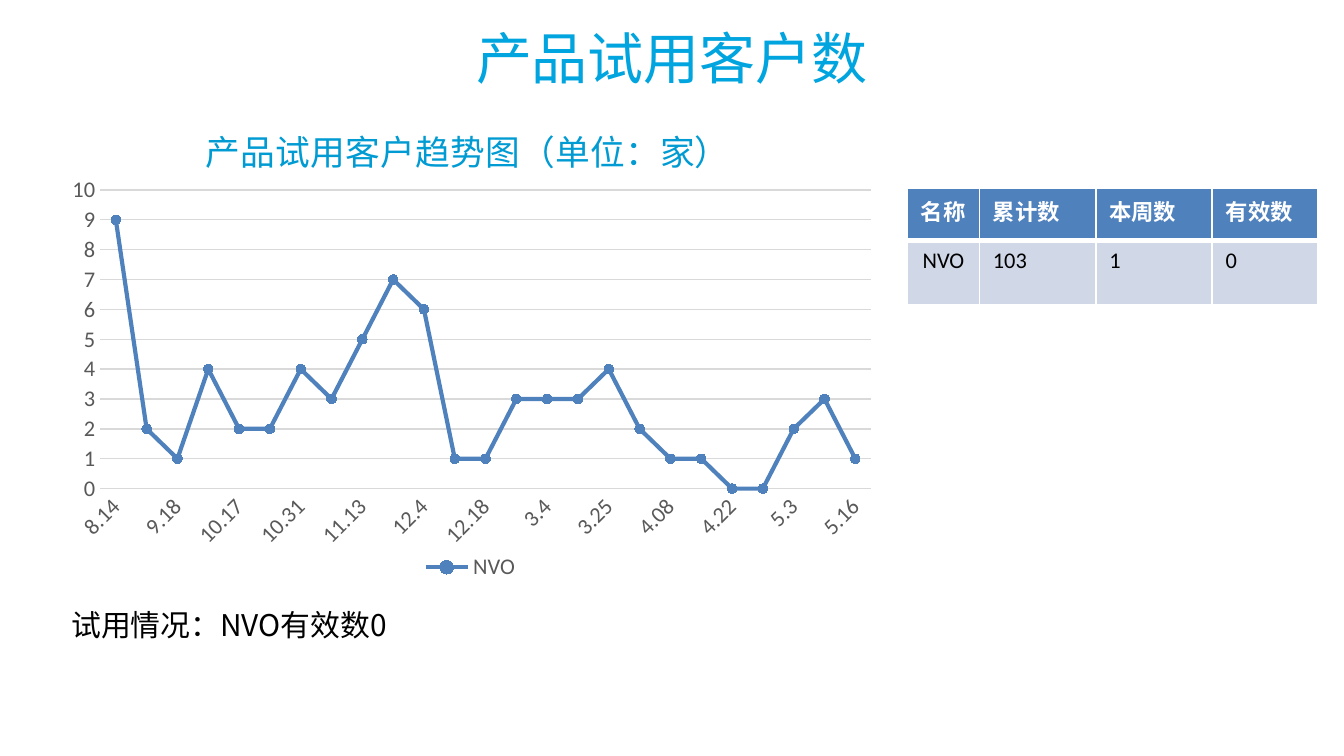
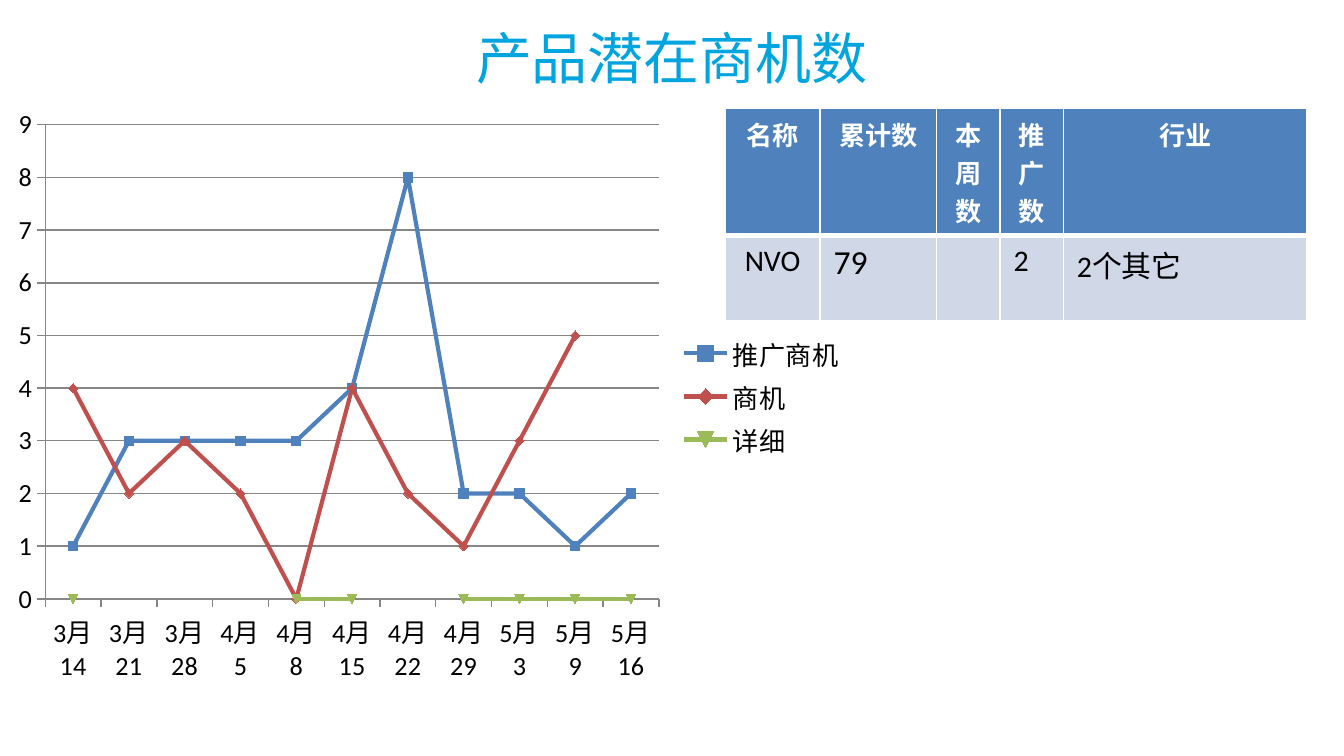
from dataclasses import dataclass
from typing import Optional

from lxml.etree import SubElement
from pptx import Presentation
from pptx.chart.data import CategoryChartData
from pptx.dml.color import RGBColor
from pptx.enum.chart import XL_CHART_TYPE, XL_LEGEND_POSITION, XL_MARKER_STYLE, XL_TICK_MARK
from pptx.enum.text import MSO_ANCHOR, PP_ALIGN
from pptx.oxml import parse_xml
from pptx.oxml.ns import nsdecls, qn
from pptx.util import Cm, Pt

COLORS = {
    "title": "00A4DE", "chart_title": "009BD2", "header": "4F81BD", "band": "D0D8E8",
    "white": "FFFFFF", "black": "000000", "label": "595959", "light_grid": "D9D9D9",
    "dark_grid": "868686", "blue": "4F81BD", "red": "C0504D", "green": "9BBB59",
}
LATIN, CJK = "Calibri", "Noto Sans CJK SC"
PRODUCT = "NVO"


@dataclass(frozen=True)
class Box:
    """Position and size in centimetres."""
    left: float
    top: float
    width: float
    height: float

    def lengths(self) -> tuple:
        return Cm(self.left), Cm(self.top), Cm(self.width), Cm(self.height)


@dataclass(frozen=True)
class Entry:
    """Text of one table cell."""
    text: str
    size: int
    centered: bool = False


@dataclass(frozen=True)
class Summary:
    box: Box
    columns: tuple
    row_heights: tuple
    header: tuple
    body: tuple


@dataclass(frozen=True)
class Line:
    name: str
    values: tuple
    color: str


@dataclass(frozen=True)
class Trend:
    box: Box
    plot: tuple  # x, y, width, height as shares of the chart
    categories: tuple
    lines: tuple
    top_value: int
    size: int
    text_color: str
    grid_color: str
    legend: XL_LEGEND_POSITION
    plain_axes: bool = False
    title: Optional[str] = None


def rgb(name: str) -> RGBColor:
    return RGBColor.from_string(COLORS[name])


def write(frame, text: str, *, size: float, color: str, font: str = LATIN,
          bold: bool = False, align: Optional[PP_ALIGN] = None) -> None:
    """Put one formatted run into a text frame."""
    paragraph = frame.paragraphs[0]
    paragraph.alignment = align
    run = paragraph.add_run()
    run.text = text
    run.font.size, run.font.bold, run.font.name = Pt(size), bold, font
    run.font.color.rgb = rgb(color)
    SubElement(run.font._element, qn("a:ea")).set("typeface", CJK)


def add_titled_slide(prs, title: str):
    slide = prs.slides.add_slide(prs.slide_layouts[5])
    heading = slide.shapes.title
    heading.left, heading.top, heading.width, heading.height = Box(0, 0.28, 25.4, 1.6).lengths()
    heading.text_frame.vertical_anchor = MSO_ANCHOR.MIDDLE
    write(heading.text_frame, title, size=30, color="title", font=CJK, align=PP_ALIGN.CENTER)
    return slide


# Tables
def set_borders(cell, **widths: float) -> None:
    properties = cell._tc.get_or_add_tcPr()
    for side, width in widths.items():
        properties.append(parse_xml(
            f'<a:ln{side} {nsdecls("a")} w="{Pt(width)}"><a:solidFill>'
            f'<a:srgbClr val="{COLORS["white"]}"/></a:solidFill></a:ln{side}>'))


def add_summary(slide, summary: Summary) -> None:
    frame = slide.shapes.add_table(2, len(summary.columns), *summary.box.lengths())
    table = frame.table
    for column, width in zip(table.columns, summary.columns):
        column.width = Cm(width)
    for row, height in zip(table.rows, summary.row_heights):
        row.height = Cm(height)
    frame.height = Cm(summary.box.height)

    for r, entries in enumerate((summary.header, summary.body)):
        is_header = r == 0
        for c, entry in enumerate(entries):
            cell = table.cell(r, c)
            if is_header:
                set_borders(cell, L=1, R=1, T=1, B=3)
            else:
                set_borders(cell, L=1, R=1, B=1)
            cell.fill.solid()
            cell.fill.fore_color.rgb = rgb("header" if is_header else "band")
            if entry.text:
                write(cell.text_frame, entry.text, size=entry.size, bold=is_header,
                      color="white" if is_header else "black",
                      align=PP_ALIGN.CENTER if entry.centered else None)


# Charts
def layout_xml(*, inner: bool = False, **shares: float):
    target = '<c:layoutTarget val="inner"/>' if inner else ""
    modes = "".join(f'<c:{key}Mode val="edge"/>' for key in "xy")
    values = "".join(f'<c:{key} val="{share}"/>' for key, share in shares.items())
    return parse_xml(f'<c:layout {nsdecls("c")}><c:manualLayout>{target}{modes}{values}'
                     '</c:manualLayout></c:layout>')


def set_layout(parent, layout, index: int) -> None:
    for old in parent.findall(qn("c:layout")):
        parent.remove(old)
    parent.insert(index, layout)


def style_font(font, size: float, color: str) -> None:
    font.size, font.name, font.bold = Pt(size), LATIN, False
    font.color.rgb = rgb(color)


def style_line(line, color: str, width: float) -> None:
    line.color.rgb = rgb(color)
    line.width = Pt(width)


def style_axes(chart, trend: Trend) -> None:
    dates, counts = chart.category_axis, chart.value_axis
    for axis in (dates, counts):
        style_font(axis.tick_labels.font, trend.size, trend.text_color)
        axis.major_tick_mark = XL_TICK_MARK.NONE if trend.plain_axes else XL_TICK_MARK.OUTSIDE
        style_line(axis.format.line, trend.grid_color, 0.75)
    counts.minimum_scale, counts.maximum_scale, counts.major_unit = 0, trend.top_value, 1
    counts.has_major_gridlines = True
    style_line(counts.major_gridlines.format.line, trend.grid_color, 0.75)
    if trend.plain_axes:
        counts.format.line.fill.background()
        # Slanted date labels
        dates._element.find(qn("c:txPr")).find(qn("a:bodyPr")).set("rot", "-2700000")


def add_trend(slide, trend: Trend) -> None:
    data = CategoryChartData()
    data.categories = trend.categories
    for line in trend.lines:
        data.add_series(line.name, line.values)
    chart = slide.shapes.add_chart(XL_CHART_TYPE.LINE_MARKERS, *trend.box.lengths(), data).chart
    style_font(chart.font, trend.size, trend.text_color)
    style_axes(chart, trend)

    chart.plots[0].vary_by_categories = False
    for series, line in zip(chart.plots[0].series, trend.lines):
        series.smooth = False
        style_line(series.format.line, line.color, 2.25)
        series.marker.format.fill.solid()
        series.marker.format.fill.fore_color.rgb = rgb(line.color)
        series.marker.format.line.color.rgb = rgb(line.color)
        if trend.plain_axes:
            series.marker.style, series.marker.size = XL_MARKER_STYLE.CIRCLE, 5

    chart.has_legend = True
    chart.legend.position = trend.legend
    chart.legend.include_in_layout = False
    style_font(chart.legend.font, trend.size, trend.text_color)

    chart.has_title = trend.title is not None
    if trend.title:
        write(chart.chart_title.text_frame, trend.title, size=18.6, color="chart_title")
        set_layout(chart.chart_title._element, layout_xml(x=0.18, y=0.03), 1)
    plot_area = chart._chartSpace.chart.plotArea
    set_layout(plot_area, layout_xml(inner=True, **dict(zip("xywh", trend.plot))), 0)


# Content
TRIAL_TREND = Trend(
    box=Box(0.89, 1.88, 16, 9.19), plot=(0.063, 0.186, 0.91, 0.614),
    categories=("8.14", "9.13", "9.18", "9.25", "10.17", "10.24", "10.31", "11.06", "11.13",
                "11.27", "12.4", "12.11", "12.18", "2.26", "3.4", "3.18", "3.25", "4.01",
                "4.08", "4.15", "4.22", "4.29", "5.3", "5.9", "5.16"),
    lines=(Line(PRODUCT, (9, 2, 1, 4, 2, 2, 4, 3, 5, 7, 6, 1, 1,
                          3, 3, 3, 4, 2, 1, 1, 0, 0, 2, 3, 1), "blue"),),
    top_value=10, size=12, text_color="label", grid_color="light_grid",
    legend=XL_LEGEND_POSITION.BOTTOM, plain_axes=True, title="产品试用客户趋势图（单位：家）",
)
TRIAL_SUMMARY = Summary(
    box=Box(17.15, 3.55, 7.76, 2.23), columns=(1.36, 2.2, 2.2, 2), row_heights=(0.99, 1.22),
    header=tuple(Entry(name, 12) for name in ("名称", "累计数", "本周数", "有效数")),
    body=(Entry(PRODUCT, 12, True), Entry("103", 12), Entry("1", 12), Entry("0", 12)),
)
LEAD_TREND = Trend(
    box=Box(0.03, 1.85, 16.2, 11.28), plot=(0.051, 0.045, 0.716, 0.794),
    categories=("3月14", "3月21", "3月28", "4月5", "4月8", "4月15", "4月22", "4月29",
                "5月3", "5月9", "5月16"),
    lines=(Line("推广商机", (1, 3, 3, 3, 3, 4, 8, 2, 2, 1, 2), "blue"),
           Line("商机", (4, 2, 3, 2, 0, 4, 2, 1, 3, 5, None), "red"),
           Line("详细", (0, None, None, None, 0, 0, None, 0, 0, 0, 0), "green")),
    top_value=9, size=14, text_color="black", grid_color="dark_grid",
    legend=XL_LEGEND_POSITION.RIGHT,
)
LEAD_SUMMARY = Summary(
    box=Box(13.7, 2.04, 11, 3.63), columns=(1.8, 2.2, 1.2, 1.2, 4.6), row_heights=(1.19, 1.6),
    header=tuple(Entry(name, 14, True) for name in ("名称", "累计数", "本周数", "推广数", "行业")),
    body=(Entry(PRODUCT, 16, True), Entry("79", 18), Entry("", 16), Entry("2", 16),
          Entry("2个其它", 16)),
)


def main() -> None:
    prs = Presentation()
    prs.slide_width, prs.slide_height = Cm(25.4), Cm(14.28)

    # Trial customers
    trials = add_titled_slide(prs, "产品试用客户数")
    add_summary(trials, TRIAL_SUMMARY)
    add_trend(trials, TRIAL_TREND)
    note = trials.shapes.add_textbox(*Box(1.1, 11.34, 23.2, 0.94).lengths()).text_frame
    note.word_wrap = True
    write(note, f"试用情况：{PRODUCT}有效数0", size=16, color="black", font=CJK)

    # Potential leads
    leads = add_titled_slide(prs, "产品潜在商机数")
    add_summary(leads, LEAD_SUMMARY)
    add_trend(leads, LEAD_TREND)

    prs.save("out.pptx")


if __name__ == "__main__":
    main()
